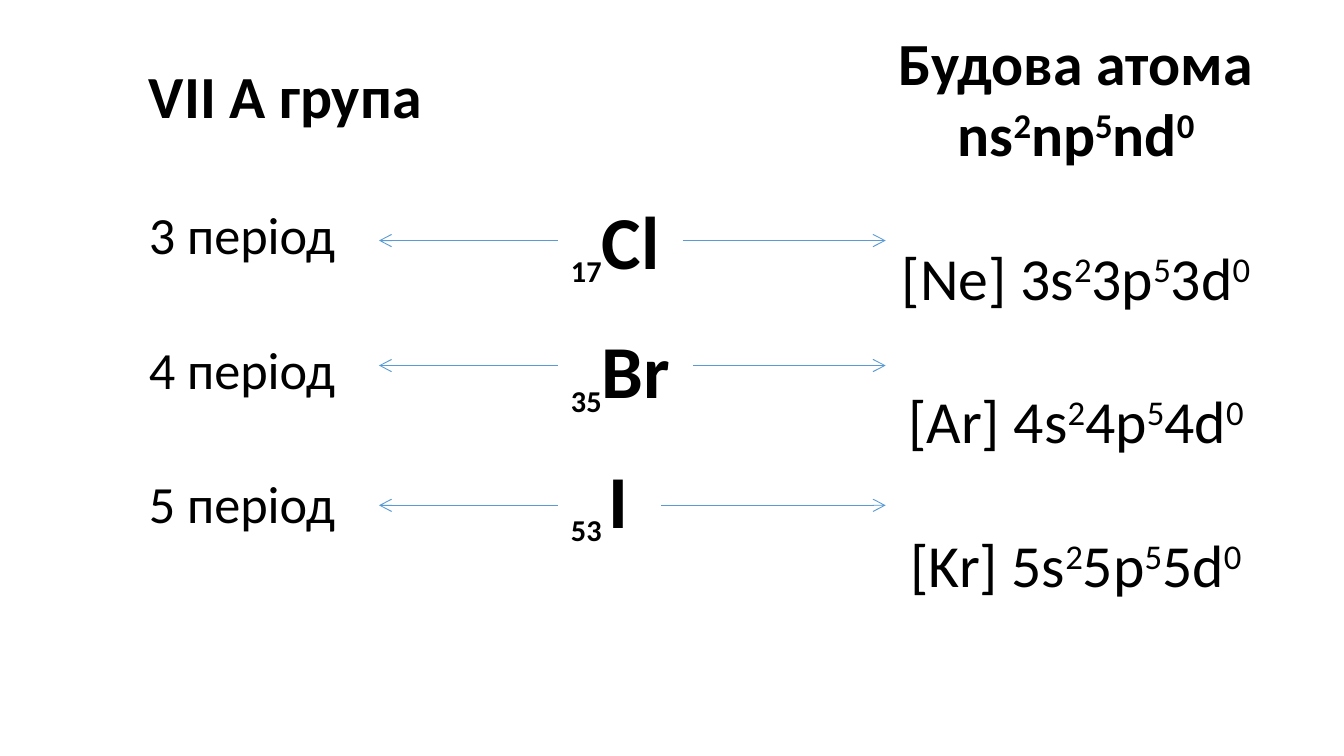
from dataclasses import dataclass

from lxml.etree import SubElement
from pptx import Presentation
from pptx.dml.color import RGBColor
from pptx.enum.shapes import MSO_CONNECTOR as Link
from pptx.enum.text import MSO_AUTO_SIZE as Auto, PP_ALIGN as Align
from pptx.oxml.ns import qn
from pptx.util import Inches, Pt

BLACK, BLUE = "000000", "5B9BD5"
SUB, SUP = -25, 30
GAP = 38.4


@dataclass
class Piece:
    text: str
    size: float
    bold: bool = False
    base: int = 0


@dataclass
class Line:
    runs: list[Piece]
    gap: float = 0
    align: Align = Align.LEFT


@dataclass
class Row:
    level: int
    number: str
    symbol: str
    core: str
    y: float
    start: float


ROWS = [
    Row(3, "17", "Cl", "Ne", 1.79, 5.08),
    Row(4, "35", "Br", "Ar", 2.72, 5.16),
    Row(5, "53 ", "I", "Kr", 3.76, 4.92),
]


def paint(color: str) -> RGBColor:
    return RGBColor.from_string(color)


def shell(head: str, level: str, bold: bool) -> list[Piece]:
    parts = [(f"{head}{level}s", 0), ("2", SUP), (f"{level}p", 0),
             ("5", SUP), (f"{level}d", 0), ("0", SUP)]
    return [Piece(text, 32, bold, base) for text, base in parts]


def write(slide, box: tuple, lines: list[Line], wrap: bool = False) -> None:
    frame = slide.shapes.add_textbox(*map(Inches, box)).text_frame
    frame.word_wrap = wrap
    frame.auto_size = Auto.SHAPE_TO_FIT_TEXT
    for i, line in enumerate(lines):
        para = frame.add_paragraph() if i else frame.paragraphs[0]
        para.alignment = line.align
        if line.gap:
            para.space_before = Pt(line.gap)
        for piece in line.runs:
            run = para.add_run()
            run.text = piece.text
            font = run.font
            font.name = "Calibri"
            font.size = Pt(piece.size)
            font.bold = piece.bold
            font.color.rgb = paint(BLACK)
            if piece.base:
                run._r.get_or_add_rPr().set("baseline", str(piece.base * 1000))


def arrow(slide, start: float, end: float, y: float) -> None:
    link = slide.shapes.add_connector(
        Link.STRAIGHT, Inches(start), Inches(y), Inches(end), Inches(y))
    link.line.color.rgb = paint(BLUE)
    link.line.width = Pt(0.5)
    SubElement(link.line._get_or_add_ln(), qn("a:tailEnd"), type="arrow")
    SubElement(link._element.spPr, qn("a:effectLst"))


def main() -> None:
    deck = Presentation()
    deck.slide_width = Inches(10)
    deck.slide_height = Inches(10 * 9 / 16)
    slide = deck.slides.add_slide(deck.slide_layouts[6])

    group = [Line([Piece("VII А група", 32, True)])]
    group += [Line([Piece(f"{row.level} період", 28)], GAP) for row in ROWS]
    write(slide, (1.01, 0.39, 2.25, 3.67), group)

    atoms = [
        Line([Piece(row.number, 28, True, SUB), Piece(row.symbol, 40, True)],
             19.2 if i else 0)
        for i, row in enumerate(ROWS)
    ]
    write(slide, (4.15, 1.4, 1.18, 2.66), atoms, True)

    build = [Line([Piece("Будова атома", 32, True)]),
             Line(shell("", "n", True), 0, Align.CENTER)]
    build += [Line(shell(f"[{row.core}] ", str(row.level), False), GAP, Align.CENTER)
              for row in ROWS]
    write(slide, (6.59, 0.14, 2.93, 4.23), build)

    for row in ROWS:
        arrow(slide, 4.15, 2.82, row.y)
        arrow(slide, row.start, 6.59, row.y)

    deck.save("out.pptx")


if __name__ == "__main__":
    main()
